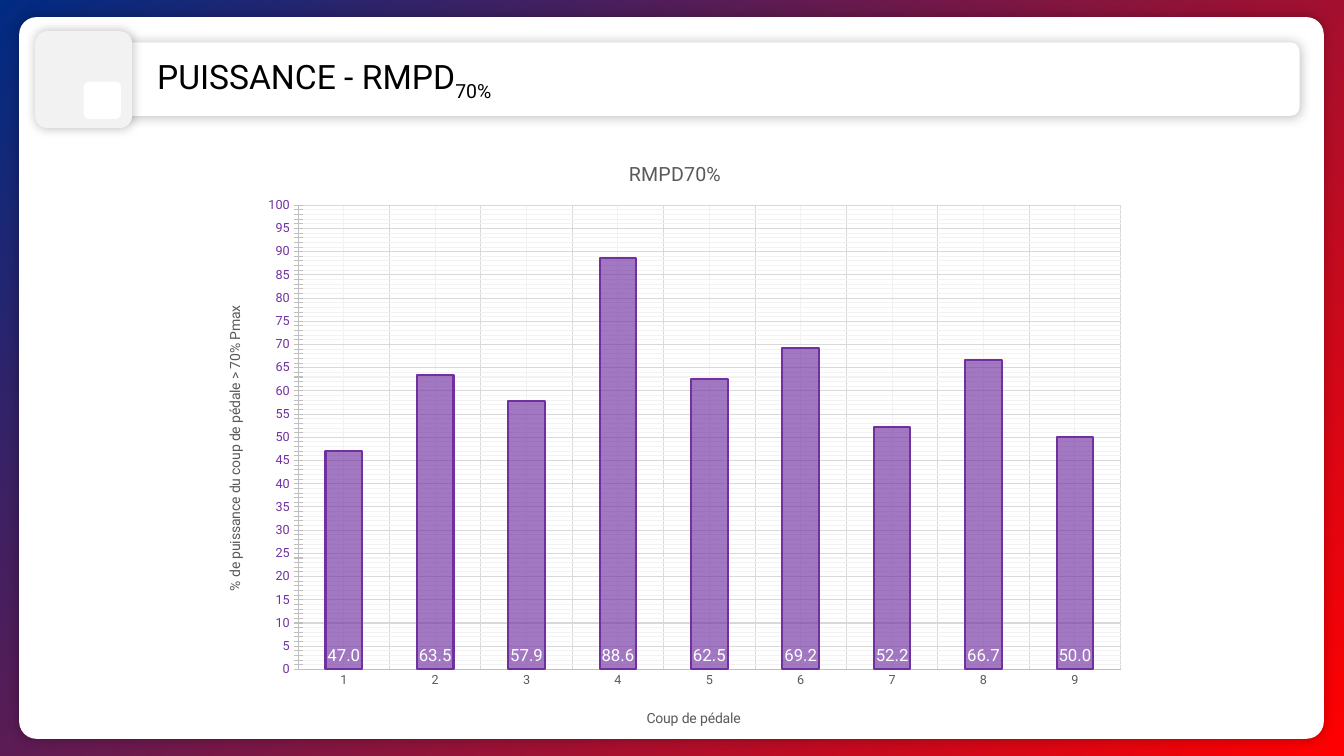
from lxml import etree
from pptx import Presentation
from pptx.chart.data import CategoryChartData
from pptx.dml.color import RGBColor
from pptx.enum.chart import XL_CHART_TYPE, XL_LABEL_POSITION, XL_TICK_MARK
from pptx.enum.shapes import MSO_SHAPE
from pptx.enum.text import MSO_AUTO_SIZE
from pptx.oxml import parse_xml
from pptx.oxml.ns import nsdecls, qn
from pptx.util import Inches, Pt

ROUNDED = MSO_SHAPE.ROUNDED_RECTANGLE
COLUMNS = XL_CHART_TYPE.COLUMN_CLUSTERED
INSIDE_BASE = XL_LABEL_POSITION.INSIDE_BASE
NO_TICK, CROSS_TICK = XL_TICK_MARK.NONE, XL_TICK_MARK.CROSS
FIT_SHAPE = MSO_AUTO_SIZE.SHAPE_TO_FIT_TEXT

FONT = "Roboto"
BLACK = RGBColor(0x00, 0x00, 0x00)
WHITE = RGBColor(0xFF, 0xFF, 0xFF)
PALE = RGBColor(0xF2, 0xF2, 0xF2)
GRID = RGBColor(0xD9, 0xD9, 0xD9)
AXIS = RGBColor(0xBF, 0xBF, 0xBF)
GREY = RGBColor(0x59, 0x59, 0x59)
PURPLE = RGBColor(0x70, 0x30, 0xA0)
RED = RGBColor(0xFF, 0x00, 0x00)
BLUE = RGBColor(0x00, 0x2B, 0x82)

POWER_SHARES = (47.0, 63.5, 57.9, 88.6, 62.5, 69.2, 52.2, 66.7, 50.0)


def set_background(slide):
    """Radial gradient spreading from the bottom right corner."""
    slide.background.fill.solid()
    solid = slide._element.find(".//" + qn("p:bgPr")).find(qn("a:solidFill"))
    gradient = parse_xml(
        f'<a:gradFill {nsdecls("a")} rotWithShape="1"><a:gsLst>'
        f'<a:gs pos="0"><a:srgbClr val="{RED}"/></a:gs>'
        f'<a:gs pos="100000"><a:srgbClr val="{BLUE}"/></a:gs></a:gsLst>'
        '<a:path path="circle"><a:fillToRect l="100000" t="100000"/></a:path>'
        '</a:gradFill>')
    solid.getparent().replace(solid, gradient)


def add_panel(slide, left, top, width, height, radius, color, shadow=True):
    panel = slide.shapes.add_shape(
        ROUNDED, Inches(left), Inches(top), Inches(width), Inches(height))
    panel.adjustments[0] = radius
    panel.fill.solid()
    panel.fill.fore_color.rgb = color
    panel.line.fill.background()
    panel.shadow.inherit = False
    if shadow:
        effects = panel._element.spPr.find(qn("a:effectLst"))
        effects.append(parse_xml(
            f'<a:outerShdw {nsdecls("a")} blurRad="{Pt(8)}" dist="0" dir="0" '
            f'algn="ctr" rotWithShape="0"><a:srgbClr val="{BLACK}">'
            '<a:alpha val="25000"/></a:srgbClr></a:outerShdw>'))


def format_font(font, size, color):
    font.name = FONT
    font.size = Pt(size)
    font.bold = False
    font.color.rgb = color


def add_text(paragraph, text, size, color, baseline=0):
    run = paragraph.add_run()
    run.text = text
    format_font(run.font, size, color)
    if baseline:
        run.font._element.set("baseline", str(baseline * 1000))


def set_layout(element, x, y, width=None, height=None):
    """Place a chart part by fractions of the chart; a size means the inner plot."""
    old_layout = element.find(qn("c:layout"))
    if old_layout is not None:
        element.remove(old_layout)
    layout = parse_xml(f'<c:layout {nsdecls("c")}><c:manualLayout/></c:layout>')
    values = [("xMode", "edge"), ("yMode", "edge"), ("x", x), ("y", y)]
    if width:
        values = [("layoutTarget", "inner")] + values + [("w", width), ("h", height)]
    for name, value in values:
        etree.SubElement(layout[0], qn("c:" + name)).set("val", str(value))
    has_text = element.find(qn("c:tx")) is not None
    element.insert(1 if has_text else 0, layout)


def set_title(title, text, size, x, y, rotation=0):
    frame = title.text_frame
    add_text(frame.paragraphs[0], text, size, GREY)
    body = frame._txBody.find(qn("a:bodyPr"))
    body.set("rot", str(rotation * 60000))
    body.set("vert", "horz")
    set_layout(title._element, x, y)


def format_axis(axis, label_color):
    axis.major_tick_mark = axis.minor_tick_mark = NO_TICK
    axis.has_major_gridlines = axis.has_minor_gridlines = True
    for part, color in ((axis.major_gridlines, GRID), (axis, AXIS)):
        part.format.line.color.rgb = color
        part.format.line.width = Pt(0.75)
    minor_gridlines = axis._element.find(qn("c:minorGridlines"))
    minor_gridlines.append(parse_xml(
        f'<c:spPr {nsdecls("c", "a")}><a:ln w="{Pt(0.75)}"><a:solidFill>'
        f'<a:srgbClr val="{PALE}"/></a:solidFill></a:ln></c:spPr>'))
    format_font(axis.tick_labels.font, 9, label_color)
    axis.tick_labels.number_format = "0"
    axis.tick_labels.number_format_is_linked = False


def format_columns(plot):
    plot.gap_width = 150
    plot.vary_by_categories = False
    series = plot.series[0]
    series.format.fill.solid()
    series.format.fill.fore_color.rgb = PURPLE
    series.format.line.color.rgb = PURPLE
    series.format.line.width = Pt(1.5)
    color = series._element.xpath("c:spPr/a:solidFill/a:srgbClr")[0]
    etree.SubElement(color, qn("a:alpha")).set("val", "65000")

    labels = series.data_labels
    labels.show_value = True
    labels.position = INSIDE_BASE
    labels.number_format = "0.0"
    labels.number_format_is_linked = False
    format_font(labels.font, 12, WHITE)


def add_power_chart(slide):
    data = CategoryChartData()
    data.categories = [str(n) for n in range(1, len(POWER_SHARES) + 1)]
    data.add_series("RMPD70%", POWER_SHARES)
    chart = slide.shapes.add_chart(
        COLUMNS, Inches(2.03), Inches(1.31), Inches(9.27), Inches(6.06), data).chart
    chart.has_legend = False
    format_font(chart.font, 10, BLACK)
    set_title(chart.chart_title, "RMPD70%", 14, 0.45, 0.04)

    strokes, share = chart.category_axis, chart.value_axis
    format_axis(strokes, GREY)
    set_title(strokes.axis_title, "Coup de pédale", 10, 0.47, 0.94)
    format_axis(share, PURPLE)
    share.minor_tick_mark = CROSS_TICK
    share.minimum_scale, share.maximum_scale = 0, 100
    share.major_unit, share.minor_unit = 5, 1
    set_title(share.axis_title, "% de puissance du coup de pédale > 70% Pmax",
              10, 0.02, 0.28, rotation=-90)

    format_columns(chart.plots[0])
    plot_area = chart._chartSpace.find(".//" + qn("c:plotArea"))
    set_layout(plot_area, 0.1, 0.12, 0.88, 0.76)


def add_heading(slide):
    box = slide.shapes.add_textbox(
        Inches(1.46), Inches(0.51), Inches(3.71), Inches(0.5))
    box.text_frame.word_wrap = False
    box.text_frame.auto_size = FIT_SHAPE
    paragraph = box.text_frame.paragraphs[0]
    add_text(paragraph, "PUISSANCE - RMPD", 24, BLACK)
    add_text(paragraph, "70%", 24, BLACK, baseline=-25)


def main():
    presentation = Presentation()
    presentation.slide_width = Inches(13.33)
    presentation.slide_height = Inches(7.5)
    slide = presentation.slides.add_slide(presentation.slide_layouts[6])
    set_background(slide)
    add_panel(slide, 0.19, 0.17, 12.94, 7.16, 0.024, WHITE)
    add_panel(slide, 0.99, 0.42, 11.9, 0.73, 0.121, WHITE)
    add_panel(slide, 0.35, 0.31, 0.96, 0.96, 0.121, PALE)
    add_panel(slide, 0.83, 0.81, 0.37, 0.37, 0.151, WHITE, shadow=False)
    add_heading(slide)
    add_power_chart(slide)
    presentation.save("out.pptx")


if __name__ == "__main__":
    main()
